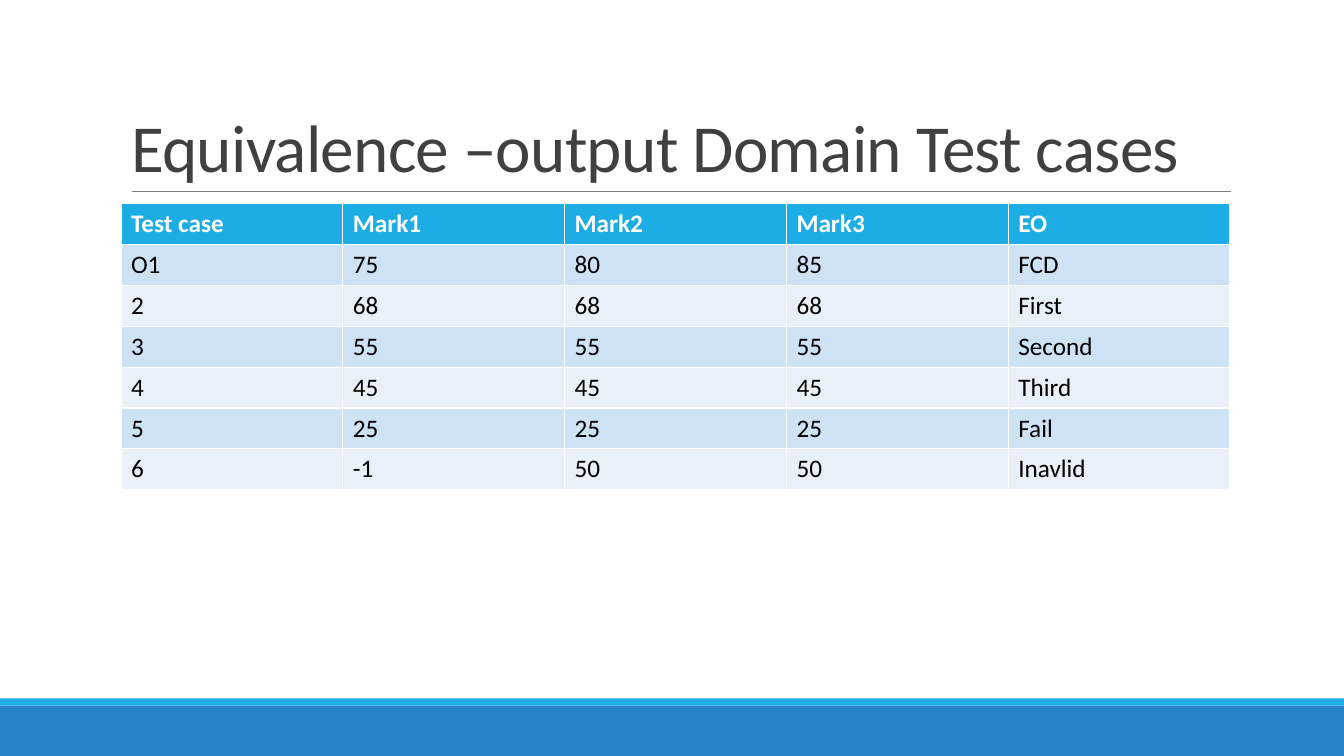
from pptx import Presentation
from pptx.dml.color import RGBColor
from pptx.enum.shapes import MSO_CONNECTOR, MSO_SHAPE
from pptx.enum.text import MSO_ANCHOR, MSO_AUTO_SIZE, PP_ALIGN
from pptx.oxml.ns import qn
from pptx.util import Inches, Pt
from lxml import etree


def paint(color_format, hex_color):
    color_format.rgb = RGBColor.from_string(hex_color)


prs = Presentation()
prs.slide_width, prs.slide_height = Inches(13.33), Inches(7.5)
slide = prs.slides.add_slide(prs.slide_layouts[5])
shapes = slide.shapes

# Footer bands
for top, height, color in [(7, 0.5, "2683C6"), (6.93, 0.07, "1CADE4")]:
    band = shapes.add_shape(MSO_SHAPE.RECTANGLE, 0, Inches(top),
                            prs.slide_width, Inches(height))
    band.shadow.inherit = False
    band.fill.solid()
    paint(band.fill.fore_color, color)
    band.line.fill.background()

# Rule under the title
rule = shapes.add_connector(MSO_CONNECTOR.STRAIGHT, Inches(1.31), Inches(1.9),
                            Inches(12.21), Inches(1.9))
paint(rule.line.color, "808080")
rule.line.width = Pt(0.5)
etree.SubElement(rule._element.spPr, qn("a:effectLst"))

# Title
title = shapes.title
title.left, title.top = Inches(1.2), Inches(0.31)
title.width, title.height = Inches(11), Inches(1.59)
heading = title.text_frame
heading.text = "Equivalence –output Domain Test cases"
heading.word_wrap = True
heading.auto_size = MSO_AUTO_SIZE.NONE
heading.vertical_anchor = MSO_ANCHOR.BOTTOM
line = heading.paragraphs[0]
line.alignment = PP_ALIGN.LEFT
line.line_spacing = 0.85
line.font.size = Pt(48)
line.font.name = "Calibri"
paint(line.font.color, "404040")
line.runs[0].font._element.set("spc", "-50")

# Test case table: the default table style supplies the white borders
test_cases = [
    ("Test case", "Mark1", "Mark2", "Mark3", "EO"),
    ("O1", "75", "80", "85", "FCD"),
    ("2", "68", "68", "68", "First"),
    ("3", "55", "55", "55", "Second"),
    ("4", "45", "45", "45", "Third"),
    ("5", "25", "25", "25", "Fail"),
    ("6", "-1", "50", "50", "Inavlid"),
]
table = shapes.add_table(len(test_cases), len(test_cases[0]), Inches(1.2),
                         Inches(2.02), Inches(11), Inches(2.84)).table
for row, values in enumerate(test_cases):
    is_header = row == 0
    row_fill = "1CADE4" if is_header else "CDE3F5" if row % 2 else "E8F1FA"
    for column, value in enumerate(values):
        cell = table.cell(row, column)
        cell.text = value
        cell.fill.solid()
        paint(cell.fill.fore_color, row_fill)
        font = cell.text_frame.paragraphs[0].font
        font.size = Pt(18)
        font.name = "Calibri"
        font.bold = is_header
        paint(font.color, "FFFFFF" if is_header else "000000")

prs.save("out.pptx")
